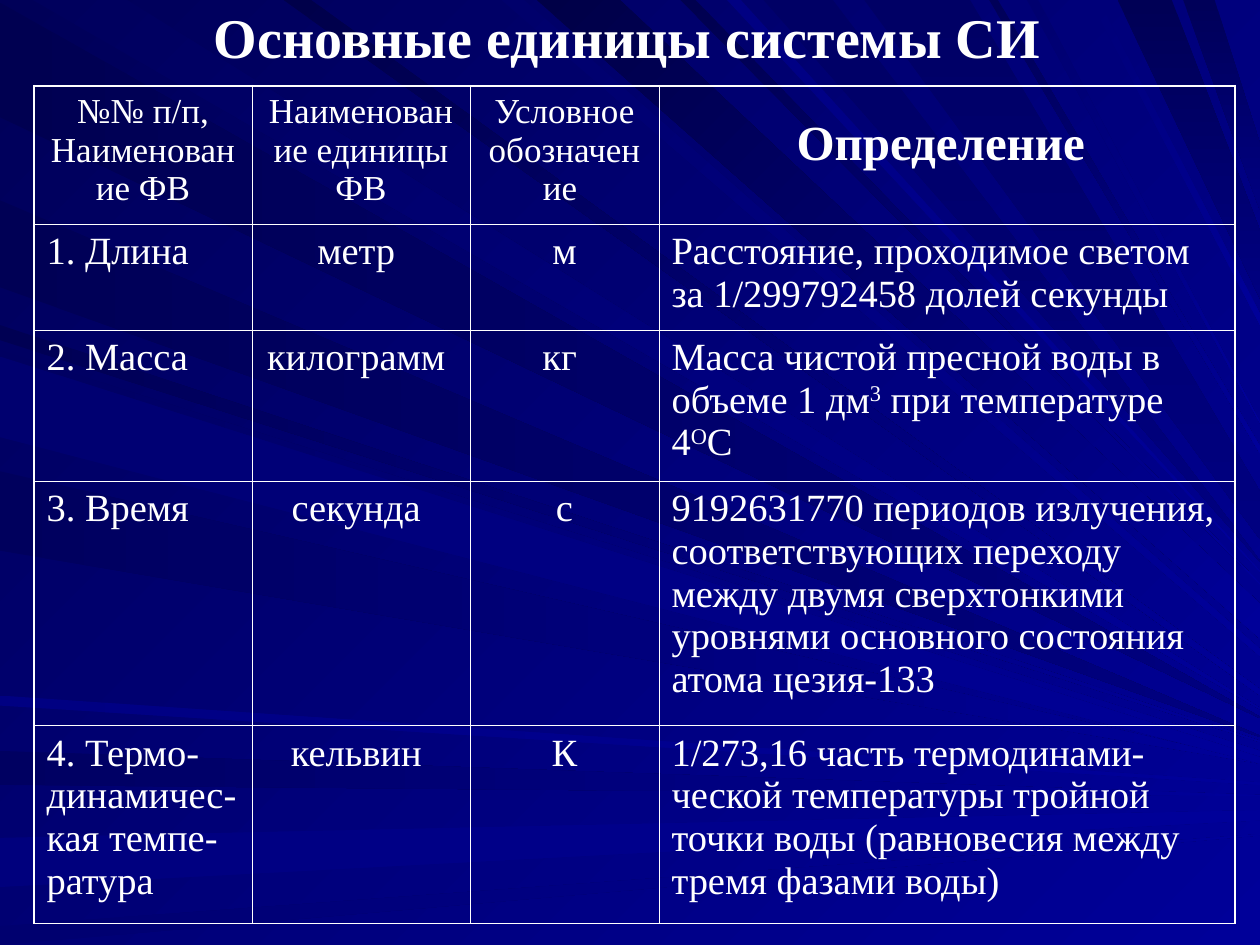
from dataclasses import dataclass
from lxml.etree import SubElement
from pptx import Presentation
from pptx.dml.color import RGBColor as Rgb
from pptx.enum.text import MSO_ANCHOR as Anchor, MSO_AUTO_SIZE as Fit, PP_ALIGN as Align
from pptx.oxml.ns import qn
from pptx.util import Pt

PX = 9144  # EMU per px, 100 px to the inch


@dataclass
class Theme:
    font: str = "Times New Roman"
    ink: str = "FFFFFF"
    dark: str = "58"  # blues are named by their last two digits
    light: str = "99"
    deep: str = "80"
    title: int = 32
    head: int = 20
    big: int = 28
    body: int = 22
    thin: float = 0.45
    thick: float = 1.08


theme = Theme()
WIDE, HIGH = 1000, 750
TITLE = "Основные единицы системы СИ "
TITLE_BOX = (27, -3, 953, 64)
GRID_AT = (27, 68)
COLS = (173, 173, 150, 457)
ROWS = (110, 84, 120, 194, 157)
BIG_TOP = 25  # inset above the large heading

# Text between ^ marks is superscript
CELLS = [
    ("№№ п/п, Наименование ФВ", "Наименование единицы ФВ", "Условное обозначение ", "Определение "),
    ("1. Длина", "метр ", "м",
     "Расстояние, проходимое светом за 1/299792458 долей секунды"),
    ("2. Масса", "килограмм ", "кг ",
     "Масса чистой пресной воды в объеме 1 дм^3^ при температуре 4^О^С"),
    ("3. Время", "секунда ", "с",
     "9192631770 периодов излучения, соответствующих переходу между двумя "
     "сверхтонкими уровнями основного состояния атома цезия-133"),
    ("4. Термо-динамичес- кая темпе-ратура", "кельвин ", "К",
     "1/273,16 часть термодинами-ческой температуры тройной точки воды "
     "(равновесия между тремя фазами воды)"),
]

# Rays run to the right edge: start and end blue, start, breadth, tip, tip breadth
LEFT = [
    ("51", theme.deep, 2, 91, 569, 1),
    ("61", theme.light, 596, 27, 631, 1),
    ("7D", theme.light, 665, 39, 643, 8),
    ("6F", theme.light, 735, 15, 662, 1),
    ("53", theme.light, 258, 12, 588, 1),
    ("55", theme.deep, 159, 69, 584, 1),
    ("61", theme.light, 278, 64, 596, 6),
    ("5D", theme.light, 374, 63, 605, 1),
    ("82", theme.light, 552, 8, 621, 2),
    ("6F", theme.light, 283, 64, 601, 5),
]
TOP = [
    ("5D", theme.light, 26, 75, 562, 1),
    ("6B", theme.light, 398, 18, 515, 6),
    ("47", theme.light, 426, 66, 479, 28),
    ("4F", theme.light, 540, 12, 463, 1),
    ("65", theme.deep, 606, 55, 445, 1),
    ("55", theme.deep, 887, 43, 183, 54),
    ("59", theme.deep, 939, 25, 114, 53),
    ("4A", theme.light, 225, 22, 547, 5),
    ("82", theme.light, 577, 11, 453, 1),
    ("65", theme.deep, 686, 84, 390, 38),
    ("58", theme.light, 785, 7, 354, 6),
    ("6F", theme.light, 815, 9, 335, 1),
    ("79", theme.light, 865, 7, 249, 9),
]


def paint(fill, start, end, angle):
    fill.gradient()
    fill.gradient_angle = -angle % 360  # counted anticlockwise
    for stop, blue in zip(fill.gradient_stops, (start, end)):
        stop.color.rgb = Rgb.from_string("0000" + blue)


def draw(shapes, ray, top):
    start, end, near, broad, tip, thin = ray
    far = near + broad
    if top:
        spots = [(near, 0), (far, 0), (WIDE, tip), (WIDE, tip + thin)]
        angle = 90 if end == theme.deep else 45
    else:
        spots = [(0, far), (0, near), (WIDE, tip), (WIDE, tip + thin)]
        angle = 0
    pen = shapes.build_freeform(*spots[0], scale=PX)
    pen.add_line_segments(spots[1:], close=True)
    shape = pen.convert_to_shape()
    shape.shadow.inherit = False
    shape.line.fill.background()
    paint(shape.fill, start, end, angle)


def style(font, size, bold=False):
    font.name, font.size, font.bold = theme.font, Pt(size), bold
    font.color.rgb = Rgb.from_string(theme.ink)


def write(para, text, size, bold=False):
    for i, part in enumerate(text.split("^")):
        run = para.add_run()
        run.text = part
        style(run.font, size, bold)
        if i % 2:
            run.font._element.set("baseline", "30000")


def edge(cell, row, col):
    props = cell._tc.get_or_add_tcPr()
    outer = {"lnL": col == 0, "lnR": col == len(COLS) - 1,
             "lnT": row == 0, "lnB": row == len(ROWS) - 1}
    for tag, thick in outer.items():
        width = Pt(theme.thick if thick else theme.thin)
        line = SubElement(props, qn("a:" + tag), w=str(int(width)))
        fill = SubElement(line, qn("a:solidFill"))
        SubElement(fill, qn("a:srgbClr"), val=theme.ink)


def main():
    deck = Presentation()
    deck.slide_width, deck.slide_height = WIDE * PX, HIGH * PX
    slide = deck.slides.add_slide(deck.slide_layouts[5])
    shapes = slide.shapes

    # Background with rays
    paint(slide.background.fill, theme.dark, theme.light, 45)
    for rays, top in ((LEFT, False), (TOP, True)):
        for ray in rays:
            draw(shapes, ray, top)

    # Title, brought in front of the rays
    title = shapes.title
    title.left, title.top, title.width, title.height = (n * PX for n in TITLE_BOX)
    frame = title.text_frame
    frame.auto_size, frame.vertical_anchor = Fit.NONE, Anchor.MIDDLE
    frame.text = TITLE
    frame.paragraphs[0].alignment = Align.CENTER
    style(frame.paragraphs[0].runs[0].font, theme.title, True)
    shapes.element.append(title.element)

    # Table of units
    area = (n * PX for n in (*GRID_AT, sum(COLS), sum(ROWS)))
    grid = shapes.add_table(len(ROWS), len(COLS), *area).table
    grid.first_row = grid.horz_banding = False
    for col, width in zip(grid.columns, COLS):
        col.width = width * PX
    for row, height in zip(grid.rows, ROWS):
        row.height = height * PX
    for r, texts in enumerate(CELLS):
        for c, text in enumerate(texts):
            cell = grid.cell(r, c)
            para = cell.text_frame.paragraphs[0]
            big = r == 0 and c == len(COLS) - 1
            size = theme.big if big else theme.body if r else theme.head
            para.alignment = Align.CENTER if r == 0 or c in (1, 2) else Align.LEFT
            write(para, text, size, big)
            if big:
                cell.margin_top = BIG_TOP * PX
            edge(cell, r, c)
            cell.fill.background()

    deck.save("out.pptx")


if __name__ == "__main__":
    main()
